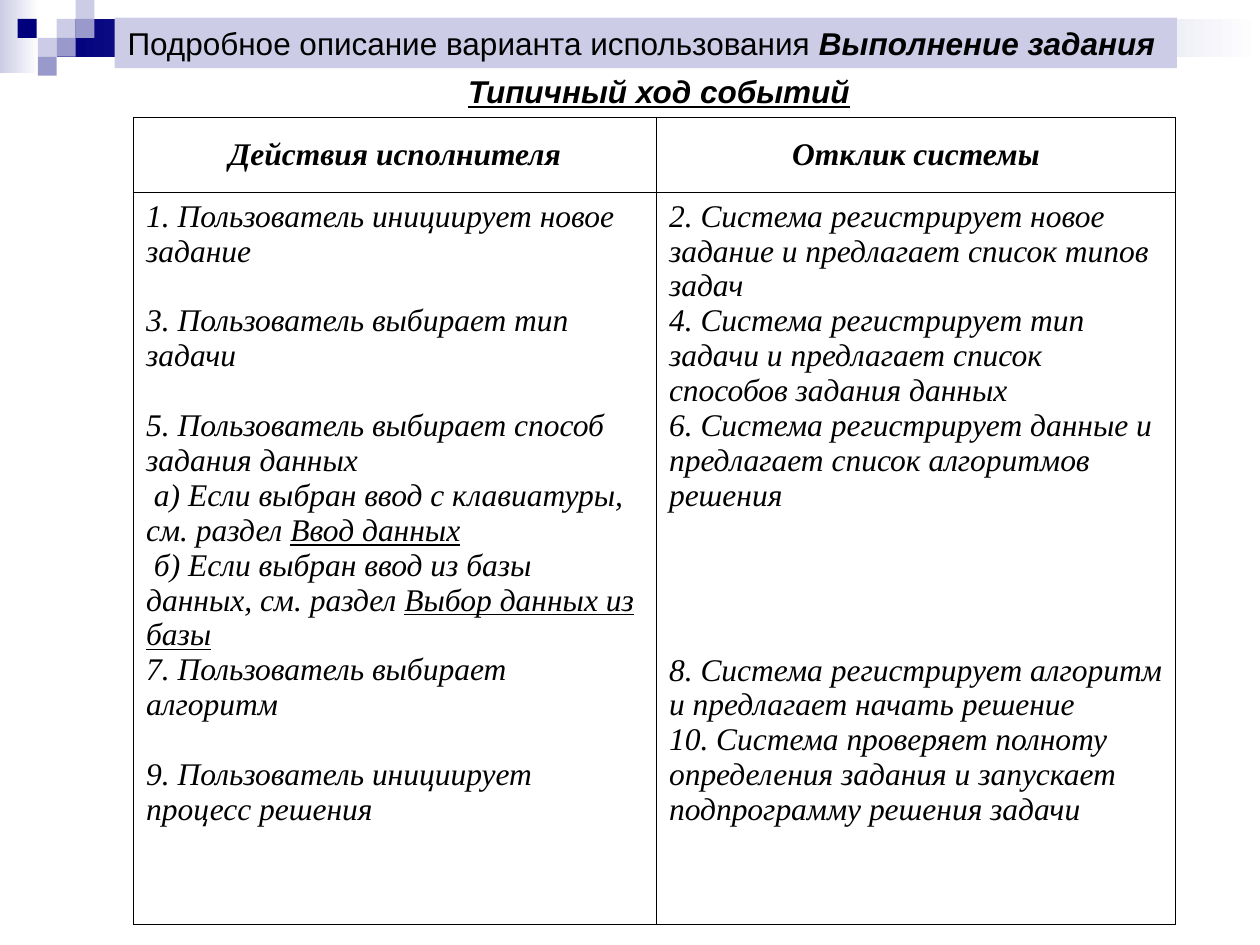
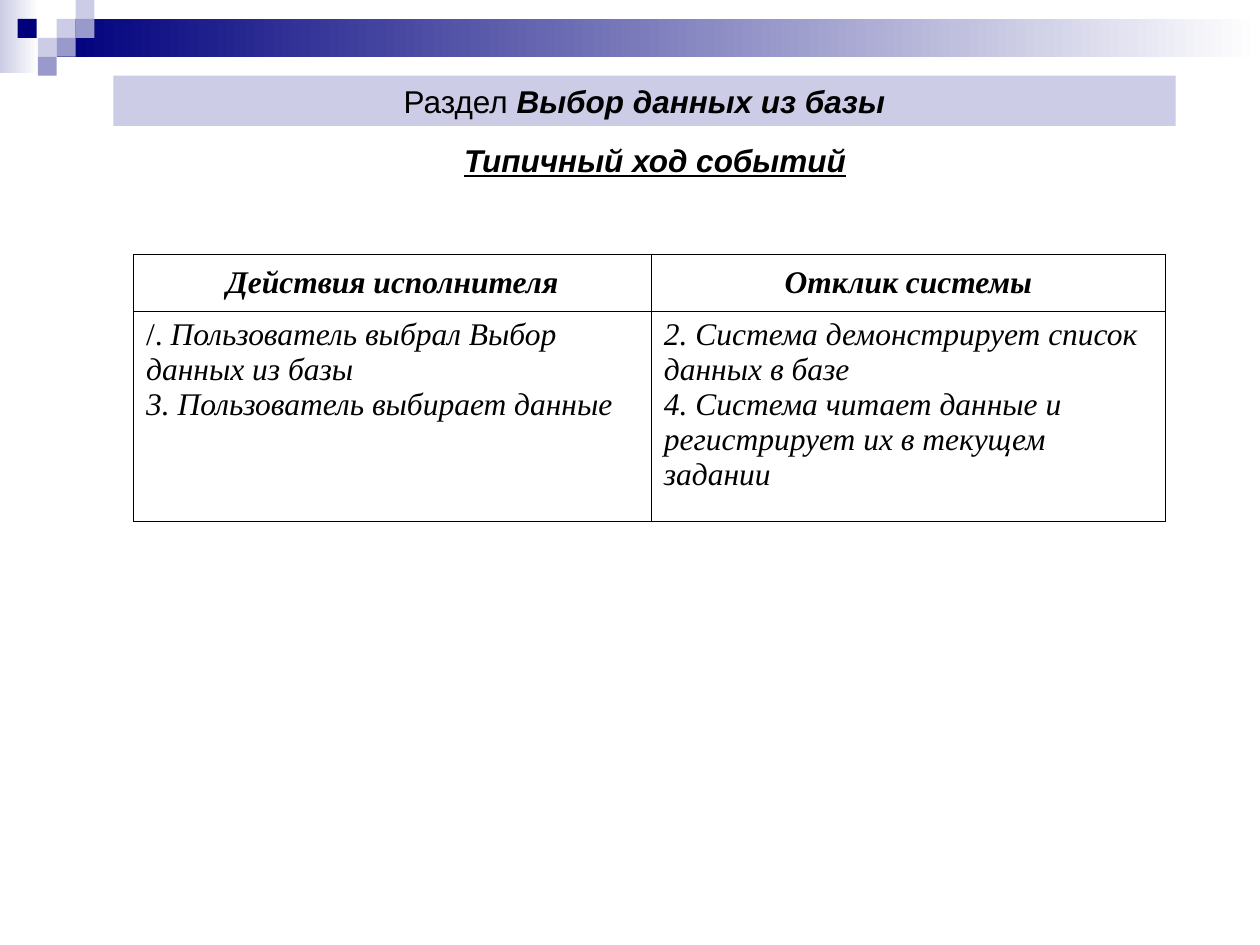
"""Builds two slides that describe a use case as tables of user actions and system responses."""
from lxml import etree
from pptx import Presentation
from pptx.dml.color import RGBColor
from pptx.enum.shapes import MSO_SHAPE
from pptx.enum.text import MSO_ANCHOR, MSO_AUTO_SIZE, PP_ALIGN
from pptx.oxml.ns import qn
from pptx.util import Inches, Pt

RECT = MSO_SHAPE.RECTANGLE
TOP, MIDDLE = MSO_ANCHOR.TOP, MSO_ANCHOR.MIDDLE
LEFT, CENTER = PP_ALIGN.LEFT, PP_ALIGN.CENTER
NO_FIT = MSO_AUTO_SIZE.NONE
NAVY, LILAC, VIOLET, WHITE, BLACK = "00007D", "CCCCE6", "9999CC", "FFFFFF", "000000"
SANS, SERIF = "Arial", "Times New Roman"
LINE = 20
HEADERS = ["Действия исполнителя", "Отклик системы"]


def rgb(value):
    return RGBColor.from_string(value)


def write(tf, paragraphs, font, align, anchor):
    tf.word_wrap = True
    tf.vertical_anchor = anchor
    for i, (gap_lines, runs) in enumerate(paragraphs):
        p = tf.paragraphs[0] if i == 0 else tf.add_paragraph()
        p.alignment = align
        p.space_before = Pt(gap_lines * LINE)
        for text, style in runs:
            r = p.add_run()
            r.text = text
            r.font.name, r.font.size = font, Pt(18)
            r.font.color.rgb = rgb(BLACK)
            r.font.bold = "b" in style
            r.font.italic = "i" in style
            r.font.underline = "u" in style


GRADIENTS = [(0, 0, 0.31, 0.58, LILAC), (0.45, 0.15, 9.55, 0.3, NAVY)]
SQUARES = [
    (0.45, 0.15, LILAC), (0.6, 0, LILAC), (0.6, 0.15, VIOLET), (0.3, 0.3, LILAC),
    (0.14, 0.15, NAVY), (0.45, 0.3, VIOLET), (0.3, 0.45, VIOLET),
]

SLIDES = [
    {
        "title": [("Подробное описание варианта использования ", ""),
                  ("Выполнение задания ", "bi")],
        "title_at": (0.91, 0.14),
        "heading_at": (2.59, 0.52),
        "table_at": (1.06, 0.93),
        "cols": (4.15, 4.12),
        "rows": (0.6, 5.81),
        "actions": [
            (0, [("1. Пользователь инициирует новое задание", "i")]),
            (1, [("3. Пользователь выбирает тип задачи", "i")]),
            (1, [("5. Пользователь выбирает способ задания данных", "i")]),
            (0, [(" а) Если выбран ввод с клавиатуры, см. раздел ", "i"),
                 ("Ввод данных", "iu")]),
            (0, [(" б) Если выбран ввод из базы данных, см. раздел ", "i"),
                 ("Выбор данных из базы", "iu")]),
            (0, [("7. Пользователь выбирает алгоритм", "i")]),
            (1, [("9. Пользователь инициирует процесс решения", "i")]),
        ],
        "responses": [
            (0, [("2. Система регистрирует новое задание и предлагает список типов задач", "i")]),
            (0, [("4. Система регистрирует тип задачи и предлагает список способов "
                  "задания данных", "i")]),
            (0, [("6. Система регистрирует данные и предлагает список алгоритмов решения", "i")]),
            (4, [("8. Система регистрирует алгоритм и предлагает начать решение", "i")]),
            (0, [("10. Система проверяет полноту определения задания и запускает "
                  "подпрограмму решения задачи", "i")]),
        ],
    },
    {
        "title": [("Раздел ", ""), ("Выбор данных из базы", "bi")],
        "title_at": (0.9, 0.6),
        "heading_at": (2.56, 1.07),
        "table_at": (1.06, 2.02),
        "cols": (4.11, 4.08),
        "rows": (0.45, 1.67),
        "actions": [
            (0, [("/. ", ""), ("Пользователь выбрал Выбор данных из базы", "i")]),
            (0, [("3. Пользователь выбирает данные", "i")]),
        ],
        "responses": [
            (0, [("2. Система демонстрирует список данных в базе", "i")]),
            (0, [("4. Система читает данные и регистрирует их в текущем задании", "i")]),
        ],
    },
]

prs = Presentation()
prs.slide_width, prs.slide_height = Inches(10), Inches(7.5)
layout = prs.slide_layouts[5]
slides = [prs.slides.add_slide(layout) for _ in SLIDES]

decor = []
for x, y, w, h, color in GRADIENTS:
    sp = slides[0].shapes.add_shape(RECT, Inches(x), Inches(y), Inches(w), Inches(h))
    sp.fill.gradient()
    sp.fill.gradient_angle = 0
    for stop, value, position in zip(sp.fill.gradient_stops, (color, WHITE), (0, 1)):
        stop.color.rgb = rgb(value)
        stop.position = position
    decor.append(sp)
for x, y, color in SQUARES:
    sp = slides[0].shapes.add_shape(RECT, Inches(x), Inches(y), Inches(0.15), Inches(0.15))
    sp.fill.solid()
    sp.fill.fore_color.rgb = rgb(color)
    decor.append(sp)
for shape_id, sp in enumerate(decor, 20):
    sp.shadow.inherit = False
    sp.line.fill.background()
    sp.element.xpath(".//p:cNvPr")[0].set("id", str(shape_id))
    layout.shapes.element.append(sp.element)

for s, content in zip(slides, SLIDES):
    title = s.shapes.title
    title.left, title.top = [Inches(v) for v in content["title_at"]]
    title.width, title.height = Inches(8.43), Inches(0.4)
    title.fill.solid()
    title.fill.fore_color.rgb = rgb(LILAC)
    title.text_frame.auto_size = NO_FIT
    write(title.text_frame, [(0, content["title"])], SANS, CENTER, TOP)

    x, y = content["heading_at"]
    heading = s.shapes.add_textbox(Inches(x), Inches(y), Inches(5.28), Inches(0.4))
    write(heading.text_frame, [(0, [("Типичный ход событий", "biu")])], SANS, CENTER, TOP)

    x, y = content["table_at"]
    cols, rows = content["cols"], content["rows"]
    table = s.shapes.add_table(2, 2, Inches(x), Inches(y),
                               Inches(sum(cols)), Inches(sum(rows))).table
    table.first_row = table.horz_banding = False
    for i in range(2):
        table.columns[i].width = Inches(cols[i])
        table.rows[i].height = Inches(rows[i])
    for i, key in enumerate(("actions", "responses")):
        header, body = table.cell(0, i), table.cell(1, i)
        write(header.text_frame, [(0, [(HEADERS[i], "bi")])], SERIF, CENTER, None)
        write(body.text_frame, content[key], SERIF, LEFT, None)
        header.vertical_anchor, body.vertical_anchor = MIDDLE, TOP
        for cell in (header, body):
            tc_pr = cell._tc.get_or_add_tcPr()
            for side in ("lnL", "lnR", "lnT", "lnB"):
                ln = etree.SubElement(tc_pr, qn(f"a:{side}"), w=str(Pt(0.45)))
                fill = etree.SubElement(ln, qn("a:solidFill"))
                etree.SubElement(fill, qn("a:srgbClr"), val=BLACK)
            cell.fill.solid()
            cell.fill.fore_color.rgb = rgb(WHITE)

prs.save("out.pptx")
